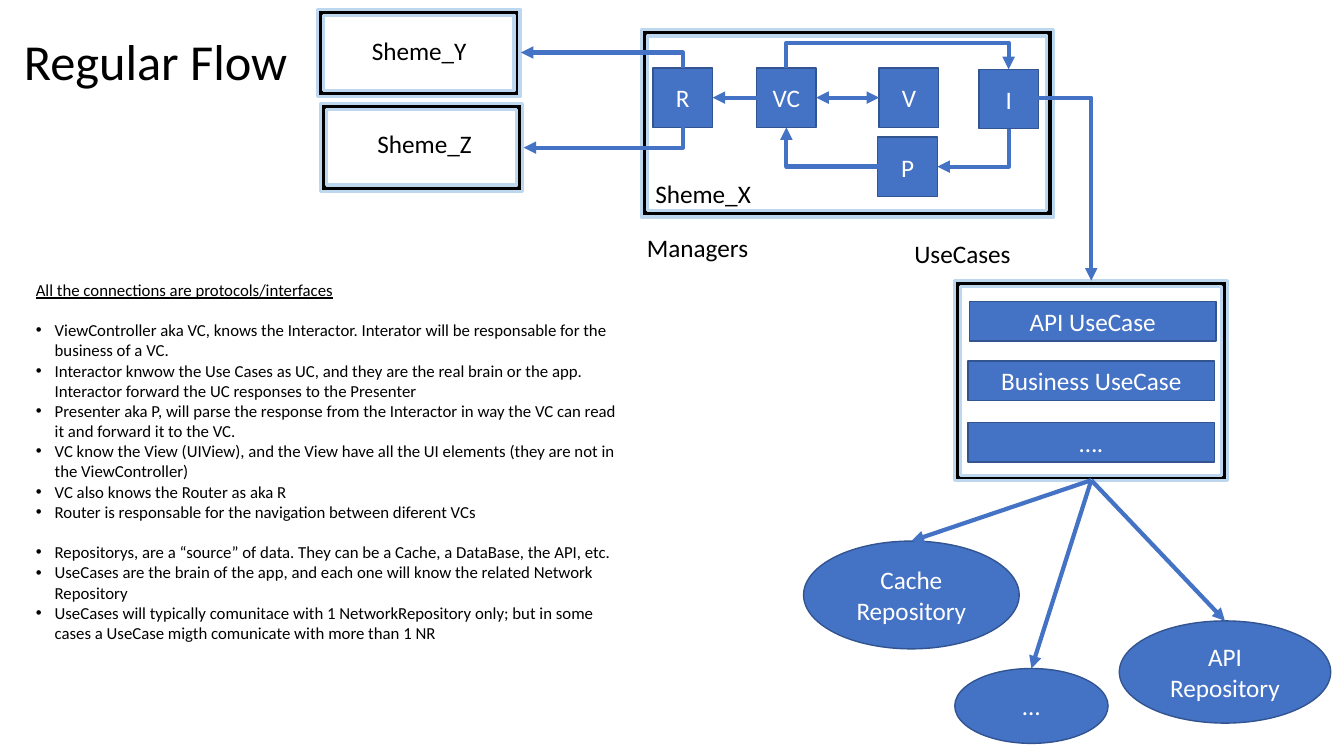
from lxml import etree
from pptx import Presentation
from pptx import util as u
from pptx.dml.color import RGBColor
from pptx.enum import shapes, text
from pptx.oxml import ns

BLUE = RGBColor(0x44, 0x72, 0xC4)
EDGE = RGBColor(0x32, 0x54, 0x91)
PALE = RGBColor(0xBD, 0xD7, 0xEE)
BLACK = RGBColor(0, 0, 0)
WHITE = RGBColor(255, 255, 255)
SIDE = 42.5
ROW = 48.5

TITLE = "All the connections are protocols/interfaces"
RULES = [
    [
        "ViewController aka VC, knows the Interactor. Interator will be responsable for the business of a VC.",
        "Interactor knwow the Use Cases as UC, and they are the real brain or the app. "
        "Interactor forward the UC responses to the Presenter",
        "Presenter aka P, will parse the response from the Interactor in way the VC can read it "
        "and forward it to the VC.",
        "VC know the View (UIView), and the View have all the UI elements "
        "(they are not in the ViewController)",
        "VC also knows the Router as aka R",
        "Router is responsable for the navigation between diferent VCs",
    ],
    [
        "Repositorys, are a “source” of data. They can be a Cache, a DataBase, the API, etc.",
        "UseCases are the brain of the app, and each one will know the related Network Repository",
        "UseCases will typically comunitace with 1 NetworkRepository only; "
        "but in some cases a UseCase migth comunicate with more than 1 NR",
    ],
]


class Board:
    def __init__(self, slide, font="Calibri", size=18):
        self.items = slide.shapes
        self.font = font
        self.size = size

    def say(self, par, words, color=BLACK, size=None, under=False):
        """Add one styled run to a paragraph."""
        run = par.add_run()
        run.text = words
        run.font.name = self.font
        run.font.size = u.Pt(size or self.size)
        run.font.color.rgb = color
        run.font.underline = under

    def shape(self, kind, spot, fill, edge, width):
        item = self.items.add_shape(kind, *map(u.Pt, spot))
        item.shadow.inherit = False
        item.fill.solid()
        item.fill.fore_color.rgb = fill
        item.line.color.rgb = edge
        item.line.width = u.Pt(width)
        return item

    def node(self, words, spot, kind=shapes.MSO_SHAPE.RECTANGLE):
        frame = self.shape(kind, spot, BLUE, EDGE, 1).text_frame
        frame.word_wrap = True
        frame.vertical_anchor = text.MSO_ANCHOR.MIDDLE
        par = frame.paragraphs[0]
        par.alignment = text.PP_ALIGN.CENTER
        self.say(par, words, WHITE)

    def frame(self, spot, rim):
        item = self.shape(shapes.MSO_SHAPE.FRAME, spot, BLACK, PALE, 2.25)
        item.adjustments[0] = rim

    def box(self, spot, wrap):
        frame = self.items.add_textbox(*map(u.Pt, spot)).text_frame
        frame.word_wrap = wrap
        return frame

    def label(self, words, spot, size=None):
        self.say(self.box(spot, False).paragraphs[0], words, size=size)

    def notes(self, spot, title, groups, size=12, gap=14.6, dent=13.5):
        """Underlined title, then groups of bullets set apart by a gap."""
        frame = self.box(spot, True)
        par = frame.paragraphs[0]
        self.say(par, title, size=size, under=True)
        for group in groups:
            par.space_after = u.Pt(gap)
            for words in group:
                par = frame.add_paragraph()
                props = par._p.get_or_add_pPr()
                props.set("marL", str(u.Pt(dent)))
                props.set("indent", str(-u.Pt(dent)))
                etree.SubElement(props, ns.qn("a:buFont"), typeface="Arial")
                etree.SubElement(props, ns.qn("a:buChar"), char="•")
                self.say(par, words, size=size)

    def arrow(self, start, end, both=False, kind=shapes.MSO_CONNECTOR.STRAIGHT):
        line = self.items.add_connector(kind, *map(u.Pt, (*start, *end)))
        line.line.color.rgb = BLUE
        line.line.width = u.Pt(3)
        props = line._element.spPr
        stroke = props.find(ns.qn("a:ln"))
        for tip in ["headEnd", "tailEnd"] if both else ["tailEnd"]:
            etree.SubElement(stroke, ns.qn("a:" + tip), type="triangle")
        etree.SubElement(props, ns.qn("a:effectLst"))
        return props

    def bend(self, start, end, down=False, turn=None):
        """Elbow arrow; down leaves vertically, turn places a second corner."""
        if down:
            # A quarter turn about the centre makes the first leg vertical.
            (ax, ay), (bx, by) = start, end
            mx, my = (ax + bx) / 2, (ay + by) / 2
            dx, dy = (bx - ax) / 2, (by - ay) / 2
            start, end = (mx - dy, my + dx), (mx + dy, my - dx)
        props = self.arrow(start, end, kind=shapes.MSO_CONNECTOR.ELBOW)
        if down:
            props.find(ns.qn("a:xfrm")).set("rot", str(90 * 60000))
        geom = props.find(ns.qn("a:prstGeom"))
        if turn is None:
            geom.set("prst", "bentConnector2")
        else:
            guides = geom.find(ns.qn("a:avLst"))
            etree.SubElement(guides, ns.qn("a:gd"), name="adj1", fmla=f"val {turn * 100000}")


def main():
    deck = Presentation()
    deck.slide_width, deck.slide_height = u.Pt(960), u.Pt(540)
    board = Board(deck.slides.add_slide(deck.slide_layouts[6]))

    board.label("Regular Flow", (10, 18, 204.5, 51), 36)
    for name, x, y in [("R", 466.5, ROW), ("VC", 540.5, ROW), ("V", 628, ROW),
                       ("I", 699.25, ROW + 1), ("P", 627, 98)]:
        board.node(name, (x, y, SIDE, SIDE))

    board.frame((458, 21, 294.5, 134), 0.035)
    board.frame((227, 6.5, 144.5, 62.5), 0.069)
    board.frame((229, 74, 144.5, 62.5), 0.069)
    board.frame((682, 200.5, 195, 143), 0.029)
    for name, x, y, width in [("Sheme_X", 461, 124, 83.5), ("Sheme_Y", 258.5, 21.5, 83.5),
                              ("Sheme_Z", 262.5, 88, 83.5), ("Managers", 455, 162.5, 88),
                              ("UseCases", 646, 166.5, 84)]:
        board.label(name, (x, y, width, 29))

    for name, x, y in [("API UseCase", 692.5, 215.5), ("Business UseCase", 691.5, 258),
                       ("….", 691.5, 302)]:
        board.node(name, (x, y, 176, 28))

    hub = (779.5, 343)
    for name, x, y, width, height in [("Cache Repository", 574, 386.5, 154, 77),
                                      ("API Repository", 799.5, 443.5, 151, 73),
                                      ("…", 682, 477.5, 109.5, 53.5)]:
        board.node(name, (x, y, width, height), shapes.MSO_SHAPE.OVAL)
        board.arrow(hub, (x + width / 2, y))

    mid, foot = ROW + SIDE / 2, ROW + SIDE
    board.arrow((540.5, mid), (509, mid))
    board.arrow((628, mid), (583, mid), both=True)
    board.bend((561.75, ROW), (720.5, ROW + 1), down=True, turn=-18)
    board.bend((720.5, foot + 1), (669.5, 119), down=True)
    board.bend((627, 119), (561.75, foot))
    board.bend((487.75, ROW), (372, 37.5), down=True)
    board.bend((487.75, foot), (374, 105.5), down=True)
    board.bend((741.75, mid), (779.5, 200.5))

    board.notes((18.5, 196, 435, 284), TITLE, RULES)
    deck.save("out.pptx")


if __name__ == "__main__":
    main()
